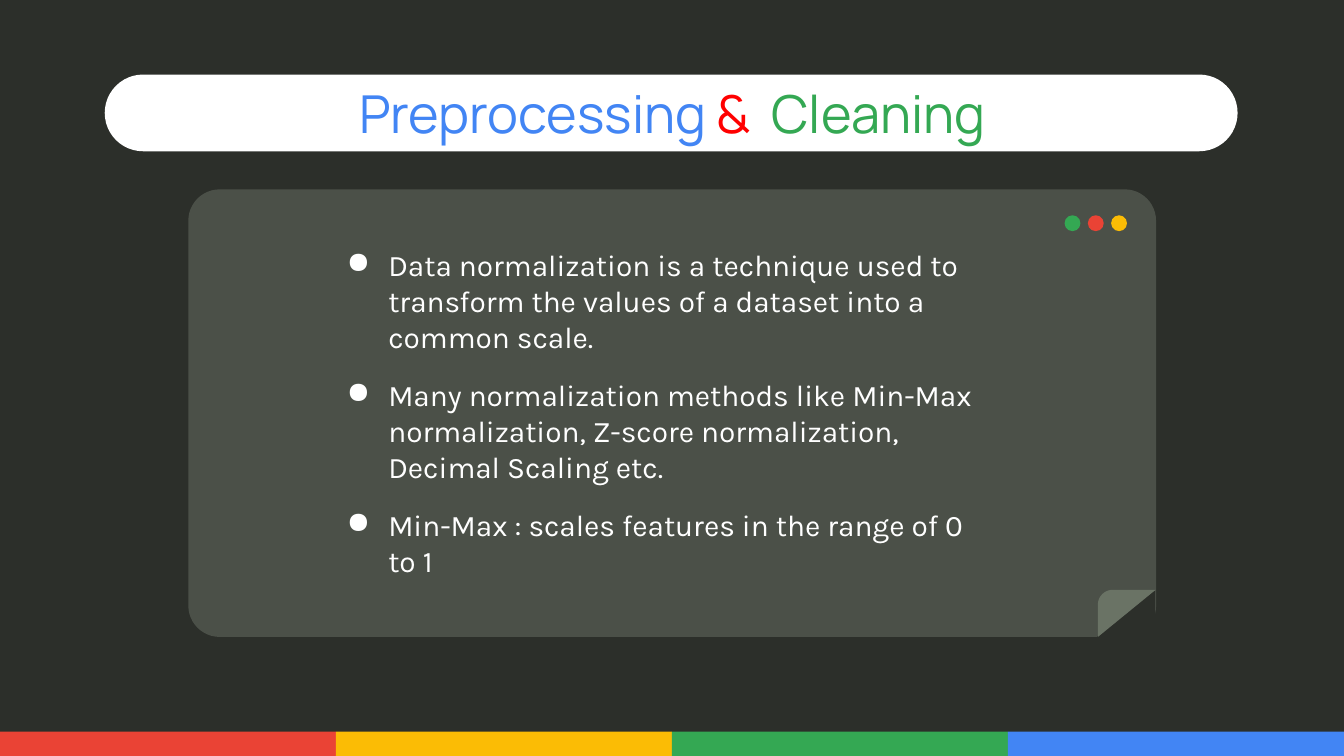
from math import cos, pi, sin

from lxml.etree import SubElement
from pptx import Presentation
from pptx.dml.color import RGBColor as Rgb
from pptx.enum.shapes import MSO_SHAPE as Kind
from pptx.enum.text import MSO_ANCHOR as Anchor, PP_ALIGN as Align
from pptx.oxml.ns import qn
from pptx.util import Cm, Pt

COLORS = {
    "dark": "2C2F2A", "card": "4B5048", "fold": "6A7365", "white": "FFFFFF",
    "red": "EA4335", "yellow": "FBBC05", "green": "34A853", "blue": "4285F4",
    "sign": "FF0000",
}
WIDTH, HEIGHT = 25.4, 14.29
TITLE = [("Preprocessing ", "blue"), ("&  ", "sign"), ("Cleaning", "green")]
POINTS = [
    "Data normalization is a technique used to transform the values of a "
    "dataset into a common scale.",
    "Many normalization methods like Min-Max normalization, Z-score "
    "normalization, Decimal Scaling etc.",
    "Min-Max : scales features in the range of 0 to 1",
]


def color(name):
    return Rgb.from_string(COLORS[name])


def paint(shape, fill):
    """Give a shape a flat fill with no line or shadow."""
    shape.shadow.inherit = False
    shape.fill.solid()
    shape.fill.fore_color.rgb = color(fill)
    shape.line.fill.background()


def add_shape(slide, kind, box, fill, round_by=None):
    shape = slide.shapes.add_shape(kind, *map(Cm, box))
    if round_by is not None:
        shape.adjustments[0] = round_by
    paint(shape, fill)
    return shape


def add_text(slide, box):
    frame = slide.shapes.add_textbox(*map(Cm, box)).text_frame
    frame.word_wrap = True
    frame.vertical_anchor = Anchor.MIDDLE
    frame.margin_left = frame.margin_right = Cm(0.25)
    frame.margin_top = frame.margin_bottom = Cm(0.25)
    return frame


def add_title(slide):
    para = add_text(slide, (2, 1.5, 21.41, 1.27)).paragraphs[0]
    para.alignment = Align.CENTER
    para.font.name, para.font.size = "Manrope", Pt(28)
    for text, tint in TITLE:
        run = para.add_run()
        run.text = text
        run.font.color.rgb = color(tint)


def add_bullet(para):
    props = para._p.get_or_add_pPr()
    props.set("marL", str(Cm(0.79)))
    props.set("indent", str(-Cm(0.79)))
    tint = SubElement(props, qn("a:buClr"))
    SubElement(tint, qn("a:srgbClr"), val=COLORS["white"])
    SubElement(props, qn("a:buChar"), char="●")


def add_points(slide):
    frame = add_text(slide, (6.3, 4.22, 12.8, 7.16))
    for i, text in enumerate(POINTS):
        para = frame.add_paragraph() if i else frame.paragraphs[0]
        para.text = text
        para.space_after = Pt(12)
        add_bullet(para)
        para.font.name, para.font.size = "Karla", Pt(16)
        para.font.color.rgb = color("white")


def add_fold(slide):
    """Cut off the lower right corner of the card and turn it up."""
    cut = add_shape(slide, Kind.RIGHT_TRIANGLE, (20.75, 11.18, 1.07, 0.86), "dark")
    cut._element.spPr.xfrm.set("flipH", "1")
    cut.line.color.rgb = color("dark")
    cut.line.width = Pt(0.75)

    left, top, right, low, bend = 20.75, 11.15, 21.84, 12.04, 0.28
    turns = [pi / 2 * i / 10 for i in range(11)]
    arc = [(left + bend * (1 - sin(t)), top + bend * (1 - cos(t))) for t in turns]
    dots = [(Cm(x), Cm(y)) for x, y in [(right, top), *arc, (left, low)]]
    path = slide.shapes.build_freeform(*dots[0])
    path.add_line_segments(dots[1:], close=True)
    paint(path.convert_to_shape(), "fold")


def add_dots(slide):
    for i, tint in enumerate(("green", "red", "yellow")):
        add_shape(slide, Kind.OVAL, (20.12 + 0.44 * i, 4.07, 0.3, 0.3), tint)


def add_stripe(slide):
    tints = ("red", "yellow", "green", "blue")
    step = WIDTH / len(tints)
    for i, tint in enumerate(tints):
        add_shape(slide, Kind.RECTANGLE, (step * i, 13.83, step, 0.46), tint)


def main():
    deck = Presentation()
    deck.slide_width, deck.slide_height = Cm(WIDTH), Cm(HEIGHT)
    slide = deck.slides.add_slide(deck.slide_layouts[6])
    slide.background.fill.solid()
    slide.background.fill.fore_color.rgb = color("dark")

    add_shape(slide, Kind.ROUNDED_RECTANGLE, (1.98, 1.41, 21.41, 1.45), "white", 0.5)
    add_shape(slide, Kind.ROUNDED_RECTANGLE, (3.56, 3.58, 18.29, 8.46), "card", 0.07)
    add_fold(slide)
    add_points(slide)
    add_title(slide)
    add_dots(slide)
    add_stripe(slide)
    deck.save("out.pptx")


if __name__ == "__main__":
    main()
